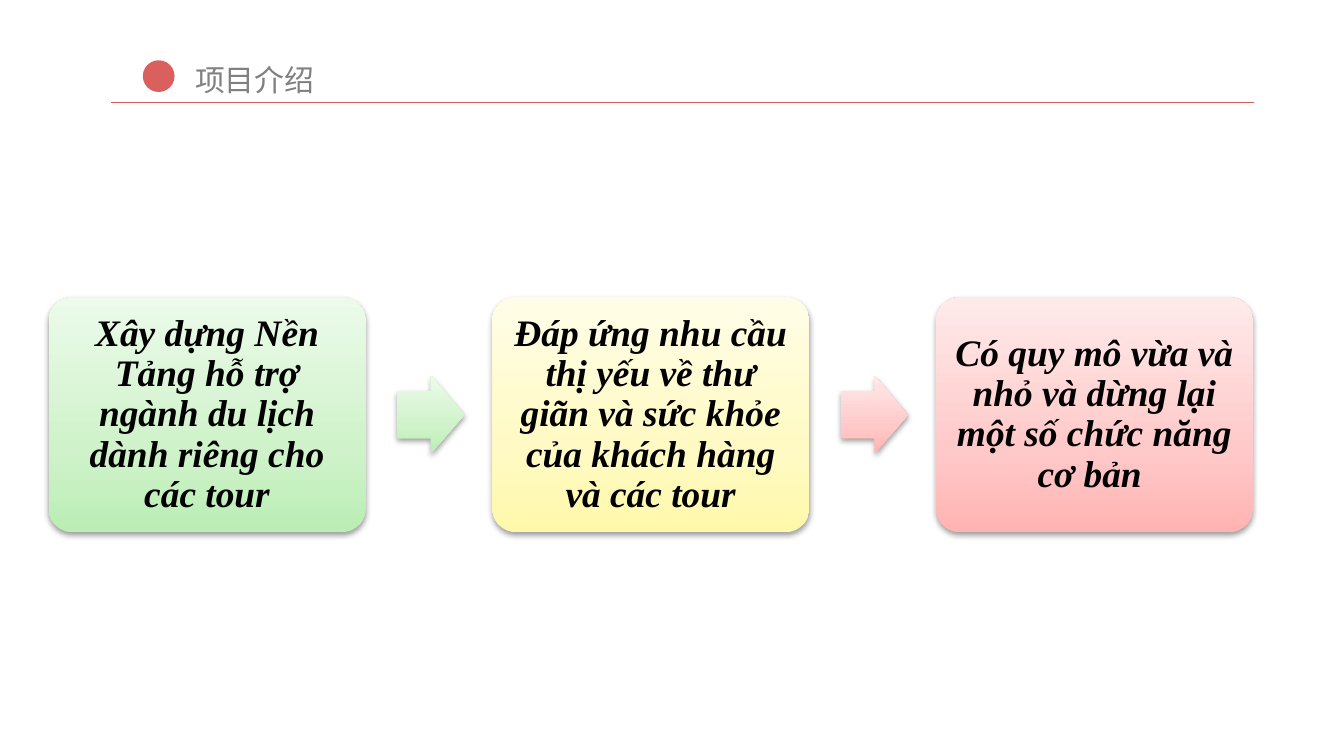
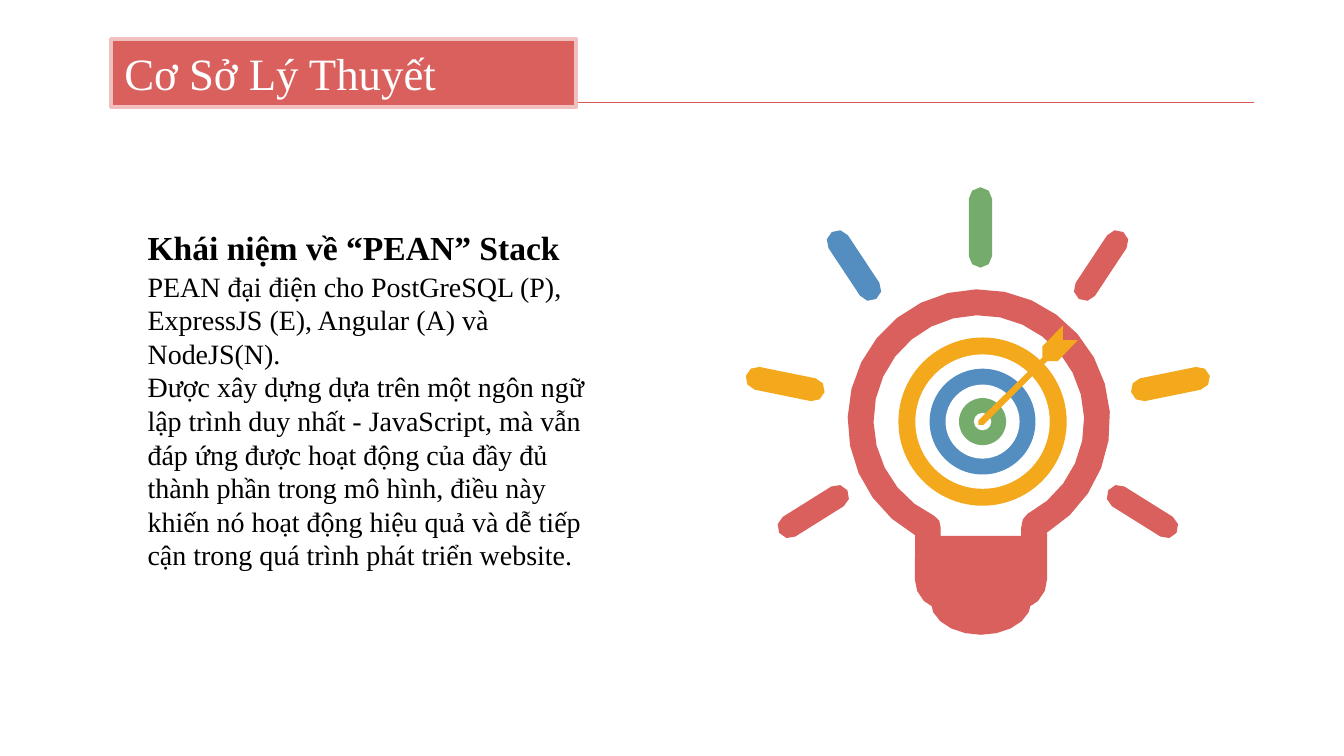
import copy
import math
from dataclasses import dataclass

import pptx
import pptx.dml.color
import pptx.enum.shapes
import pptx.enum.text
import pptx.oxml.ns
import pptx.util
from lxml import etree

Cm = pptx.util.Cm
Pt = pptx.util.Pt
RGBColor = pptx.dml.color.RGBColor
Shape = pptx.enum.shapes.MSO_SHAPE
Align = pptx.enum.text.PP_ALIGN
Anchor = pptx.enum.text.MSO_ANCHOR
qn = pptx.oxml.ns.qn

# Colours
RED = RGBColor(0xD9, 0x60, 0x5D)
RULE_RED = RGBColor(0xD7, 0x5B, 0x58)
PALE_RED = RGBColor(0xF0, 0xBF, 0xBE)
YELLOW = RGBColor(0xF4, 0xA8, 0x1C)
BLUE = RGBColor(0x54, 0x8D, 0xBF)
GREEN = RGBColor(0x75, 0xAC, 0x6B)
GRAY = RGBColor(0x80, 0x80, 0x80)
BLACK = RGBColor(0, 0, 0)
WHITE = RGBColor(255, 255, 255)

# Gradients, from bottom to top
GRADIENT_STOPS = (0, 0.35, 1)
GREEN_TINTS = [RGBColor.from_string(c) for c in ("BBEEB4", "CFF2CA", "ECFBEA")]
YELLOW_TINTS = [RGBColor.from_string(c) for c in ("FFF8AB", "FFFAC3", "FFFDE8")]
PINK_TINTS = [RGBColor.from_string(c) for c in ("FFB4B2", "FFC9C9", "FFEAEA")]

SERIF = "Times New Roman"
SANS = "Noto Sans CJK SC"


@dataclass
class Box:
    """A region of the page, in centimetres."""
    left: float
    top: float
    width: float
    height: float

    def lengths(self):
        return Cm(self.left), Cm(self.top), Cm(self.width), Cm(self.height)


# Shared helpers
def add_span(para, text, size, color, font=SERIF, bold=False, italic=False):
    span = para.add_run()
    span.text = text
    span.font.size = Pt(size)
    span.font.bold = bold
    span.font.italic = italic
    span.font.color.rgb = color
    span.font.name = font
    etree.SubElement(span.font._element, qn("a:ea")).set("typeface", font)


def set_frame(shape, inset_x=0.0, inset_y=0.0, anchor=Anchor.TOP):
    frame = shape.text_frame
    frame.word_wrap = True
    frame.margin_left = frame.margin_right = Cm(inset_x)
    frame.margin_top = frame.margin_bottom = Cm(inset_y)
    frame.vertical_anchor = anchor
    return frame


def add_plain_shape(page, kind, box, color=None):
    shape = page.shapes.add_shape(kind, *box.lengths())
    shape.shadow.inherit = False
    shape.line.fill.background()
    if color is not None:
        shape.fill.solid()
        shape.fill.fore_color.rgb = color
    return shape


def add_outline(page, contours, color):
    """Fill closed contours; a second contour cuts a hole."""
    points = [[(Cm(x), Cm(y)) for x, y in contour] for contour in contours]
    builder = page.shapes.build_freeform(*points[0][0])
    for number, contour in enumerate(points):
        if number:
            builder.move_to(*contour[0])
        builder.add_line_segments(contour[1:], close=True)
    shape = builder.convert_to_shape()
    shape.shadow.inherit = False
    shape.fill.solid()
    shape.fill.fore_color.rgb = color
    shape.line.fill.background()


def arc(x, y, radius_x, radius_y, start, end, steps=4):
    """Points along an ellipse, in degrees clockwise from the right."""
    angles = [math.radians(start + (end - start) * i / steps) for i in range(steps + 1)]
    return [(x + radius_x * math.cos(a), y + radius_y * math.sin(a)) for a in angles]


def add_tinted_shape(page, kind, box, tints):
    """Shape with a three-step gradient and a soft shadow below."""
    shape = add_plain_shape(page, kind, box)
    shape.fill.gradient()
    shape.fill.gradient_angle = 90
    first = shape._element.spPr.find(qn("a:gradFill")).find(qn("a:gsLst"))[0]
    first.addnext(copy.deepcopy(first))
    for stop, position, tint in zip(shape.fill.gradient_stops, GRADIENT_STOPS, tints):
        stop.position = position
        stop.color.rgb = tint
    effects = shape._element.spPr.find(qn("a:effectLst"))
    shadow = etree.SubElement(effects, qn("a:outerShdw"), blurRad="40000",
                              dist="20000", dir="5400000", rotWithShape="0")
    shade = etree.SubElement(shadow, qn("a:srgbClr"), val="000000")
    etree.SubElement(shade, qn("a:alpha"), val="38000")
    return shape


HEADER = Box(2.1, 0.74, 21.6, 1.2)


def add_header_rule(page, box):
    bottom = Cm(box.top + box.height)
    rule = page.shapes.add_connector(pptx.enum.shapes.MSO_CONNECTOR.STRAIGHT,
                                     Cm(box.left), bottom,
                                     Cm(box.left + box.width), bottom)
    rule.line.color.rgb = RULE_RED
    rule.line.width = Pt(0.75)
    etree.SubElement(rule._element.spPr, qn("a:effectLst"))


def add_dot_title(page, box, text):
    label = page.shapes.add_textbox(
        *Box(box.left + 1.41, box.top + 0.33, 4.98, 0.86).lengths())
    frame = set_frame(label, 0.18, 0.1)
    add_span(frame.paragraphs[0], text, 16, GRAY, SANS)
    add_header_rule(page, box)
    add_plain_shape(page, Shape.OVAL,
                    Box(box.left + 0.6, box.top + 0.4, 0.6, 0.6), RED)


def add_banner_title(page, box, text):
    banner = add_plain_shape(page, Shape.RECTANGLE,
                             Box(box.left, box.top, 8.79, 1.28), RED)
    banner.line.color.rgb = PALE_RED
    banner.line.width = Pt(2)
    frame = set_frame(banner, 0.25, 0.13)
    frame.paragraphs[0].alignment = Align.LEFT
    add_span(frame.paragraphs[0], text, 24, WHITE)


# Slide 1: cards joined by arrows
STEPS = [
    ("Xây dựng Nền Tảng hỗ trợ ngành du lịch dành riêng cho các tour", GREEN_TINTS),
    ("Đáp ứng nhu cầu thị yếu về thư giãn và sức khỏe của khách hàng và các tour",
     YELLOW_TINTS),
    ("Có quy mô vừa và nhỏ và dừng lại một số chức năng cơ bản ", PINK_TINTS),
]
ARROW_TINTS = [GREEN_TINTS, PINK_TINTS]


def add_step_flow(page, box):
    card_width, arrow_width, arrow_height = 5.99, 1.27, 1.48
    pitch = (box.width - card_width) / (len(STEPS) - 1)
    for number, (text, tints) in enumerate(STEPS):
        left = box.left + number * pitch
        card = add_tinted_shape(page, Shape.ROUNDED_RECTANGLE,
                                Box(left, box.top, card_width, box.height), tints)
        card.adjustments[0] = 0.1
        para = set_frame(card, 0.2, 0.2, Anchor.MIDDLE).paragraphs[0]
        para.alignment = Align.CENTER
        para.line_spacing = 0.9
        add_span(para, text, 20, BLACK, bold=True, italic=True)
        if number < len(ARROW_TINTS):
            arrow_top = box.top + (box.height - arrow_height) / 2
            arrow = add_tinted_shape(
                page, Shape.RIGHT_ARROW,
                Box(left + card_width + 0.6, arrow_top, arrow_width, arrow_height),
                ARROW_TINTS[number])
            arrow.adjustments[0] = 0.6
            arrow.adjustments[1] = 0.5


# Slide 2: concept text and light bulb
CONCEPT = [
    "PEAN đại điện cho PostGreSQL (P), ExpressJS (E), Angular (A) và NodeJS(N).",
    "Được xây dựng dựa trên một ngôn ngữ lập trình duy nhất - JavaScript, mà vẫn đáp "
    "ứng được hoạt động của đầy đủ thành phần trong mô hình, điều này khiến nó hoạt "
    "động hiệu quả và dễ tiếp cận trong quá trình phát triển website.",
]

# Ray centre from the lamp centre, angle, colour
RAYS = [
    (3.09, 1.72, 32, RED), (-3.13, 1.72, -32, RED),
    (3.62, -0.69, -11.5, YELLOW), (-3.66, -0.69, 11.5, YELLOW),
    (2.31, -2.93, -56.5, RED), (-2.36, -2.93, 56.5, BLUE),
    (0.03, -3.65, 90, GREEN),
]
RINGS = [(3.18, YELLOW), (2.54, WHITE), (2.0, BLUE), (1.4, WHITE),
         (0.89, GREEN), (0.33, WHITE)]
DART = [(1.29, -1.12), (1.49, -1.12), (1.87, -1.52), (1.59, -1.52), (1.59, -1.8),
        (1.2, -1.4), (1.2, -1.19), (-0.01, 0), (-0.01, 0.08), (0.09, 0.08)]


def add_concept(page, box):
    body = page.shapes.add_textbox(
        *Box(box.left, box.top + 0.95, box.width, box.height - 0.95).lengths())
    frame = set_frame(body)
    for number, text in enumerate(CONCEPT):
        para = frame.add_paragraph() if number else frame.paragraphs[0]
        add_span(para, text, 15, BLACK)

    heading = page.shapes.add_textbox(*Box(box.left, box.top, 8.1, 0.91).lengths())
    para = set_frame(heading).paragraphs[0]
    para.alignment = Align.JUSTIFY
    para.line_spacing = 1.2
    add_span(para, "Khái niệm về “PEAN” Stack", 18, BLACK, bold=True)


def add_ray(page, x, y, angle, color):
    half, radius = 0.54, 0.22
    shift_x = half * math.cos(math.radians(angle))
    shift_y = half * math.sin(math.radians(angle))
    capsule = (arc(x + shift_x, y + shift_y, radius, radius, angle - 90, angle + 90)
               + arc(x - shift_x, y - shift_y, radius, radius, angle + 90, angle + 270))
    add_outline(page, [capsule], color)


def add_bulb(page, box):
    x, y = box.left + box.width / 2, box.top + 4.42
    neck = x + 0.04
    for ray_x, ray_y, angle, color in RAYS:
        add_ray(page, x + ray_x, y + ray_y, angle, color)

    # Screw base and glass
    add_outline(page, [arc(neck, y + 3.43, 0.95, 0.62, 0, 180, 10)], RED)
    glass = (arc(x, y, 2.48, 2.48, 119, 418.7, 24)
             + arc(neck + 0.67, y + 3, 0.58, 0.58, 0, 90)
             + arc(neck - 0.67, y + 3, 0.58, 0.58, 90, 180))
    hollow = (arc(x, y, 1.99, 1.99, 115, 422.5, 24)
              + [(neck + 0.79, y + 1.87), (neck + 0.76, y + 2.03),
                 (neck + 0.76, y + 2.18), (neck - 0.76, y + 2.18),
                 (neck - 0.76, y + 2.03), (neck - 0.79, y + 1.89)])
    add_outline(page, [glass, hollow], RED)

    # Target and dart
    for size, color in RINGS:
        ring = Box(x + 0.07 - size / 2, y + 0.02 - size / 2, size, size)
        add_plain_shape(page, Shape.OVAL, ring, color)
    add_outline(page, [[(x + dx, y + dy) for dx, dy in DART]], YELLOW)


def main():
    deck = pptx.Presentation()
    deck.slide_width, deck.slide_height = Cm(25.4), Cm(14.29)
    blank = deck.slide_layouts[6]

    page = deck.slides.add_slide(blank)
    add_dot_title(page, HEADER, "项目介绍")
    add_step_flow(page, Box(0.92, 5.62, 22.76, 4.44))

    page = deck.slides.add_slide(blank)
    add_header_rule(page, HEADER)
    add_concept(page, Box(2.79, 4.14, 8.31, 7.33))
    add_bulb(page, Box(14.06, 3.53, 8.88, 8.46))
    add_banner_title(page, HEADER, "Cơ Sở Lý Thuyết")

    deck.save("out.pptx")


if __name__ == "__main__":
    main()
